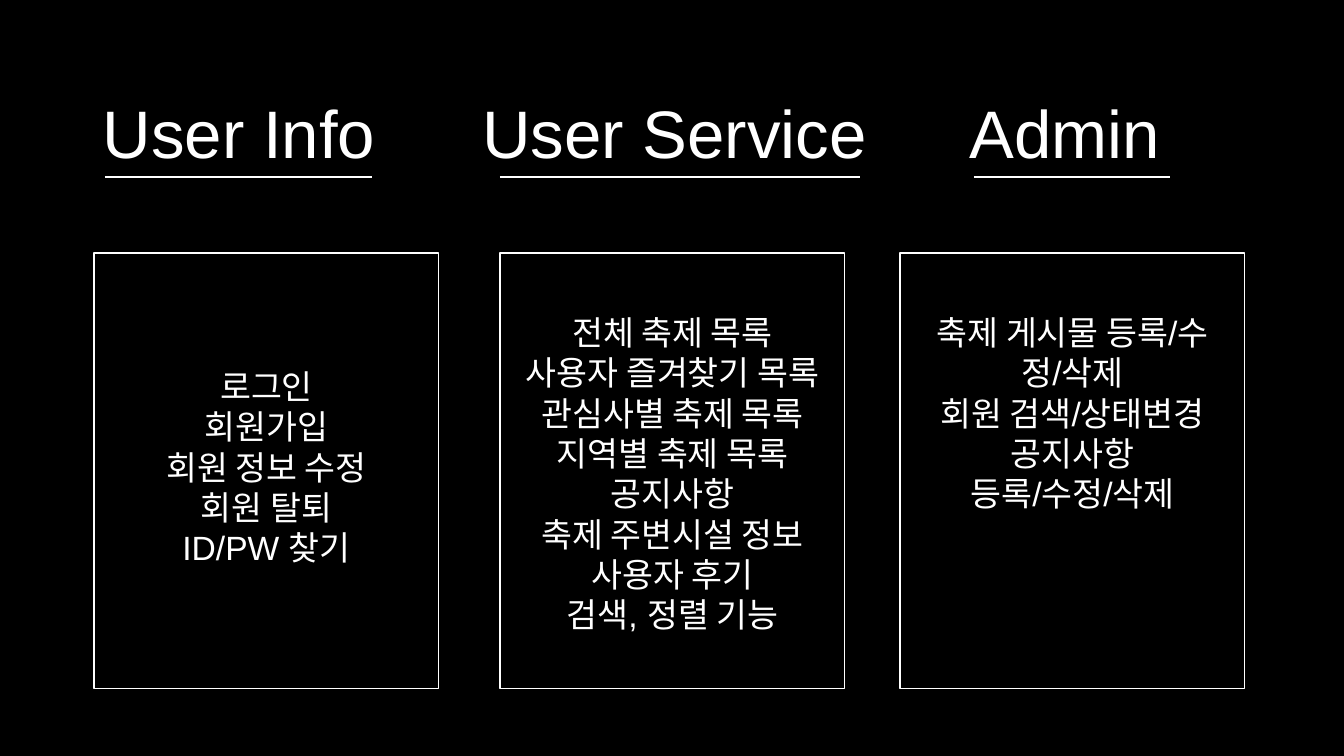
import pptx
import pptx.dml.color
import pptx.enum.shapes
import pptx.enum.text
import pptx.oxml
import pptx.util

PX = 12192000 / 1344
COLORS = {"background": "000000", "foreground": "FFFFFF"}
WHITE = pptx.dml.color.RGBColor.from_string(COLORS["foreground"])
ALIGN = pptx.enum.text.PP_ALIGN

HEADING_TOP, HEADING_HEIGHT, UNDERLINE_Y = 86, 92, 177
CARD_TOP, CARD_WIDTH, CARD_HEIGHT = 253, 345, 436

# heading, alignment, heading left and width, underline ends, card left, card top inset, card lines
COLUMNS = [
    ("User Info", ALIGN.CENTER, 91, 296, 105, 372, 94, 113,
     ["로그인", "회원가입", "회원 정보 수정", "회원 탈퇴", "ID/PW 찾기"]),
    ("User Service", ALIGN.RIGHT, 468, 409, 500, 860, 500, 59,
     ["전체 축제 목록", "사용자 즐겨찾기 목록", "관심사별 축제 목록", "지역별 축제 목록",
      "공지사항", "축제 주변시설 정보", "사용자 후기", "검색, 정렬 기능"]),
    ("Admin", ALIGN.RIGHT, 958, 212, 974, 1170, 900, 59,
     ["축제 게시물 등록/수정/삭제", "회원 검색/상태변경", "공지사항 등록/수정/삭제"]),
]


def px(length):
    return pptx.util.Emu(round(length * PX))


def write_lines(text_frame, lines, size, alignment):
    for index, line in enumerate(lines):
        paragraph = text_frame.paragraphs[0] if index == 0 else text_frame.add_paragraph()
        paragraph.alignment = alignment
        run = paragraph.add_run()
        run.text = line
        run.font.size = pptx.util.Pt(size)
        run.font.name = "Arial"
        run.font.color.rgb = WHITE


presentation = pptx.Presentation()
presentation.slide_width = px(1344)
presentation.slide_height = px(756)
slide = presentation.slides.add_slide(presentation.slide_layouts[6])
slide.background.fill.solid()
slide.background.fill.fore_color.rgb = pptx.dml.color.RGBColor.from_string(COLORS["background"])

for (heading, alignment, heading_left, heading_width, line_start, line_end,
     card_left, card_inset, card_lines) in COLUMNS:
    heading_box = slide.shapes.add_textbox(
        px(heading_left), px(HEADING_TOP), px(heading_width), px(HEADING_HEIGHT))
    heading_box.text_frame.word_wrap = False
    write_lines(heading_box.text_frame, [heading], 48, alignment)

    underline = slide.shapes.add_connector(
        pptx.enum.shapes.MSO_CONNECTOR.STRAIGHT,
        px(line_start), px(UNDERLINE_Y), px(line_end), px(UNDERLINE_Y))
    underline.line.color.rgb = WHITE
    underline.line.width = pptx.util.Pt(1.5)
    underline.element.spPr.append(pptx.oxml.parse_xml(
        '<a:effectLst xmlns:a="http://schemas.openxmlformats.org/drawingml/2006/main"/>'))

    card = slide.shapes.add_shape(
        pptx.enum.shapes.MSO_SHAPE.RECTANGLE,
        px(card_left), px(CARD_TOP), px(CARD_WIDTH), px(CARD_HEIGHT))
    card.shadow.inherit = False
    card.fill.background()
    card.line.color.rgb = WHITE
    card.line.width = pptx.util.Pt(0.75)
    card.text_frame.word_wrap = True
    card.text_frame.vertical_anchor = pptx.enum.text.MSO_ANCHOR.TOP
    card.text_frame.margin_top = px(card_inset)
    write_lines(card.text_frame, card_lines, 24, ALIGN.CENTER)

presentation.save("out.pptx")
